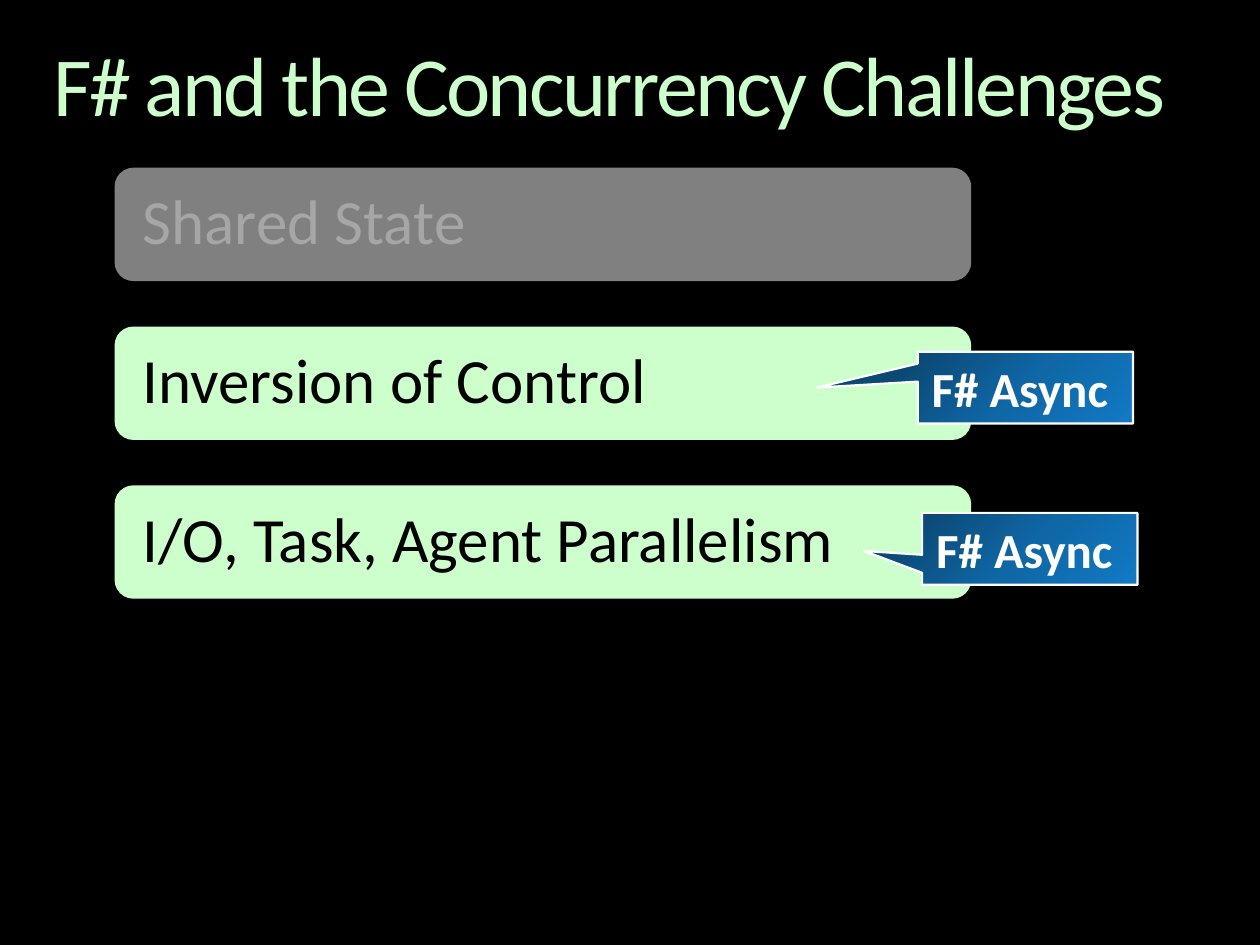
from copy import deepcopy
from dataclasses import dataclass

from pptx import Presentation
from pptx import util as u
from pptx.dml.color import RGBColor
from pptx.enum import shapes, text
from pptx.oxml import ns


@dataclass(frozen=True)
class Theme:
    font: str = "Calibri"
    back: str = "000000"
    mint: str = "CCFFCC"
    ink: str = "000000"
    gray: str = "808080"
    dim: str = "A6A6A6"
    white: str = "FFFFFF"
    blues: tuple = ("0B4874", "0F67A6", "127AC5")
    head: int = 48
    item: int = 36
    note: int = 28


THEME = Theme()


def rgb(code):
    return RGBColor.from_string(code)


def write(frame, words, size, color, align, pad=None, bold=False):
    """Put one run of text in a frame, with equal insets if pad is given."""
    if pad is not None:
        frame.margin_left = frame.margin_right = u.Cm(pad)
        frame.margin_top = frame.margin_bottom = u.Cm(pad)
    para = frame.paragraphs[0]
    para.alignment = align
    run = para.add_run()
    run.text = words
    run.font.name = THEME.font
    run.font.size = u.Pt(size)
    run.font.bold = bold
    run.font.color.rgb = rgb(color)
    return run


def add_head(slide, box, words):
    title = slide.shapes.title
    title.left, title.top, title.width, title.height = map(u.Cm, box)
    frame = title.text_frame
    frame.word_wrap = True
    frame.vertical_anchor = text.MSO_ANCHOR.TOP
    frame.auto_size = text.MSO_AUTO_SIZE.SHAPE_TO_FIT_TEXT
    run = write(frame, words, THEME.head, THEME.mint, text.PP_ALIGN.LEFT, 0)
    run.font._element.set("spc", "-150")
    frame.paragraphs[0].line_spacing = 0.9


def add_plain(parent, kind, box, fill):
    shape = parent.add_shape(kind, *map(u.Cm, box))
    shape.shadow.inherit = False
    shape.fill.solid()
    shape.fill.fore_color.rgb = rgb(fill)
    shape.line.fill.background()
    return shape


def add_bar(slide, box, words, fill, color):
    """Draw a rounded bar with a label panel set just inside its edge."""
    left, top, width, height = box
    edge = 0.11
    inner = (left + edge, top + edge, width - 2 * edge, height - 2 * edge)
    group = slide.shapes.add_group_shape().shapes
    add_plain(group, shapes.MSO_SHAPE.ROUNDED_RECTANGLE, box, fill)
    panel = add_plain(group, shapes.MSO_SHAPE.RECTANGLE, inner, fill)
    frame = panel.text_frame
    frame.word_wrap = True
    frame.vertical_anchor = text.MSO_ANCHOR.MIDDLE
    write(frame, words, THEME.item, color, text.PP_ALIGN.LEFT, 0.46)
    frame.paragraphs[0].line_spacing = 0.9


def fill_blue(shape):
    """Give a three-stop diagonal gradient."""
    shape.fill.gradient()
    shape.fill.gradient_angle = 315
    stops = shape._element.spPr.find(".//" + ns.qn("a:gsLst"))
    stops.insert(1, deepcopy(stops[0]))
    places = (0, 0.5, 1)
    for stop, place, color in zip(shape.fill.gradient_stops, places, THEME.blues):
        stop.position = place
        stop.color.rgb = rgb(color)


def add_note(slide, box, words, tip):
    note = slide.shapes.add_shape(
        shapes.MSO_SHAPE.RECTANGULAR_CALLOUT, *map(u.Cm, box))
    note.adjustments[0], note.adjustments[1] = tip
    note.shadow.inherit = False
    fill_blue(note)
    note.line.color.rgb = rgb(THEME.white)
    note.line.width = u.Pt(1.25)
    frame = note.text_frame
    frame.word_wrap = False
    frame.auto_size = text.MSO_AUTO_SIZE.SHAPE_TO_FIT_TEXT
    frame.vertical_anchor = text.MSO_ANCHOR.MIDDLE
    write(frame, words, THEME.note, THEME.white, text.PP_ALIGN.CENTER, bold=True)


def add_bars(slide, box, items):
    """Stack bars in the box, with gaps of two fifths of a bar."""
    left, top, width, height = box
    tall = height / (len(items) + 0.4 * (len(items) - 1))
    for row, item in enumerate(items):
        add_bar(slide, (left, top + row * 1.4 * tall, width, tall), *item)


def main():
    deck = Presentation()
    deck.slide_width, deck.slide_height = u.Cm(25.4), u.Cm(19.05)
    slide = deck.slides.add_slide(deck.slide_layouts[5])
    slide.background.fill.solid()
    slide.background.fill.fore_color.rgb = rgb(THEME.back)

    add_head(slide, (1.07, 0.89, 23.29, 1.86), "F# and the Concurrency Challenges")
    add_bars(slide, (2.31, 3.38, 17.27, 8.69), (
        ("Shared State", THEME.gray, THEME.dim),
        ("Inversion of Control", THEME.mint, THEME.ink),
        ("I/O, Task, Agent Parallelism", THEME.mint, THEME.ink),
    ))
    for left, top, tip in ((18.5, 7.09, (-0.97, 0)), (18.59, 10.34, (-0.77, 0.03))):
        add_note(slide, (left, top, 4.34, 1.45), "F# Async ", tip)
    deck.save("out.pptx")


if __name__ == "__main__":
    main()
